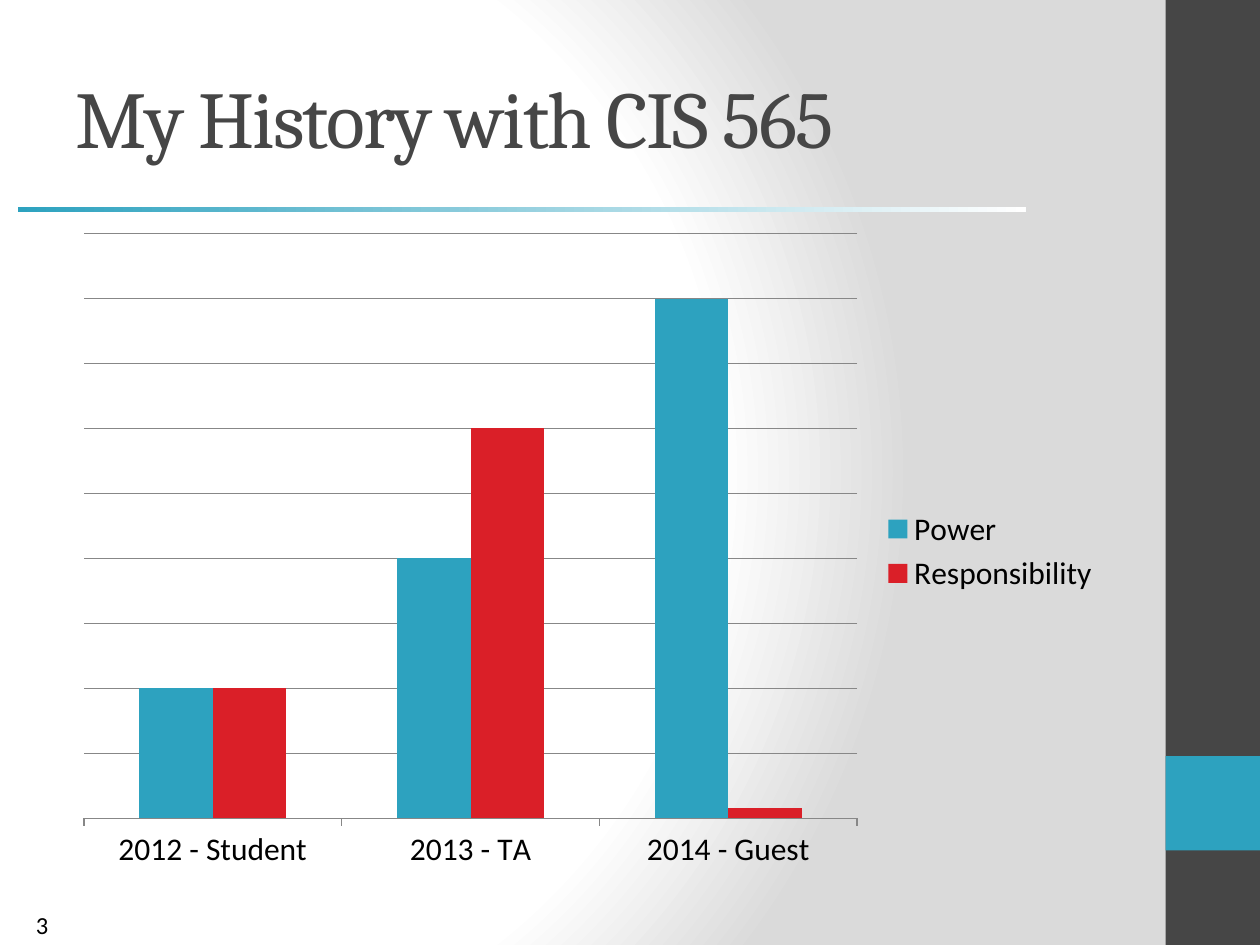
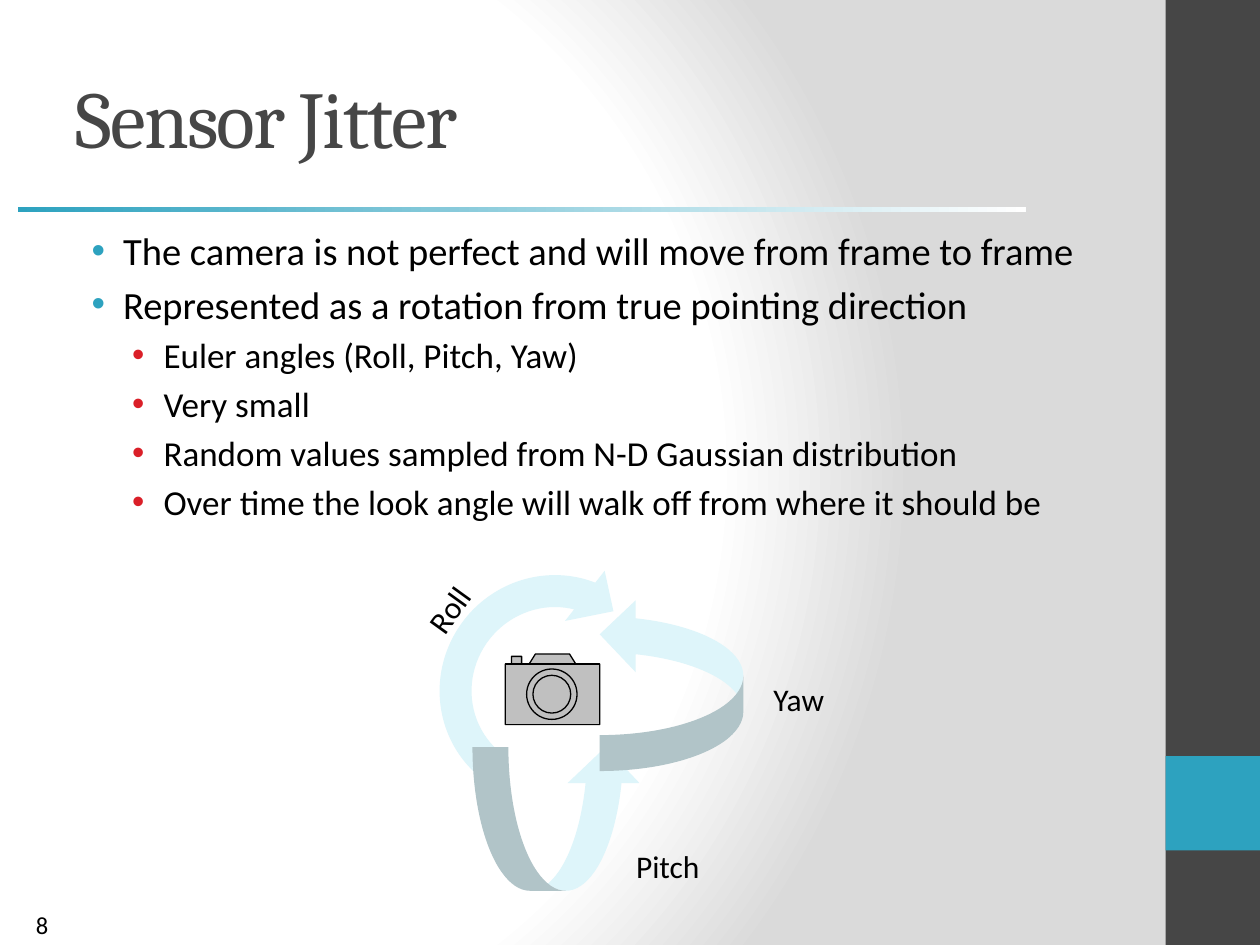
"""Build two lecture slides: a column chart and a sensor jitter diagram."""
import lxml.etree
import pptx
import pptx.chart.data
import pptx.dml.color
import pptx.enum.chart
import pptx.enum.shapes
import pptx.enum.text
import pptx.oxml.ns
import pptx.util

Inches = pptx.util.Inches
Pt = pptx.util.Pt
SHAPE = pptx.enum.shapes.MSO_SHAPE
ALIGN = pptx.enum.text.PP_ALIGN
ANCHOR = pptx.enum.text.MSO_ANCHOR

COLORS = {
    "white": "FFFFFF", "fade": "DADADA", "dark": "464646", "teal": "2DA2BF",
    "red": "DA1F28", "black": "000000", "pale": "DEF5FA", "camera": "C0C0C0",
    "grid": "878787",
}
TITLE_FONT = {"name": "Cambria", "size": Pt(46)}
BODY_FONT = {"name": "Calibri", "size": Pt(18)}
CONTENT_AREA = (0.5, 1.75, 8.33, 5.25)

BACKGROUND_STOPS = [(0, "white"), (75, "white"), (100, "fade")]
BACKGROUND_FOCUS = {"l": 20, "t": 50, "r": 100, "b": 50}
BANDS = [((9.25, 0, 0.75, 7.5), "dark"), ((9.25, 6, 0.75, 0.75), "teal")]

CATEGORIES = ["2012 - Student", "2013 - TA", "2014 - Guest"]
SERIES = [("Power", (25, 50, 100), "teal"), ("Responsibility", (25, 75, 2), "red")]

BULLETS = [
    (0, "The camera is not perfect and will move from frame to frame"),
    (0, "Represented as a rotation from true pointing direction"),
    (1, "Euler angles (Roll, Pitch, Yaw)"),
    (1, "Very small"),
    (1, "Random values sampled from N-D Gaussian distribution"),
    (1, "Over time the look angle will walk off from where it should be"),
]
LEVELS = [
    {"size": 22, "margin": 0.38, "color": "teal"},
    {"size": 20, "margin": 0.7, "color": "red"},
]
CAMERA_OUTLINE = [
    (4.01, 5.75), (4.01, 5.27), (4.06, 5.27), (4.06, 5.21), (4.14, 5.21),
    (4.14, 5.27), (4.2, 5.27), (4.25, 5.19), (4.52, 5.19), (4.57, 5.27),
    (4.76, 5.27), (4.76, 5.75),
]
CAMERA_PARTS = [
    (SHAPE.RECTANGLE, (4.01, 5.27, 0.75, 0.48)),
    (SHAPE.OVAL, (4.18, 5.31, 0.4, 0.4)),
    (SHAPE.OVAL, (4.23, 5.36, 0.3, 0.3)),
]
ROTATION_ARROWS = [
    (SHAPE.CIRCULAR_ARROW, (3.35, 4.45, 2.07, 2.03), 308.3, False),
    (SHAPE.CURVED_LEFT_ARROW, (3.85, 5.83, 1.14, 1.34), 90, True),
    (SHAPE.CURVED_LEFT_ARROW, (4.76, 4.75, 1.14, 1.37), 0, True),
]
ROTATION_LABELS = [
    ("Roll", (3.26, 4.61, 0.64, 0.4), 305.8),
    ("Yaw", (6.04, 5.35, 0.67, 0.4), 0),
    ("Pitch", (4.95, 6.67, 0.76, 0.4), 0),
]


def rgb(color):
    return pptx.dml.color.RGBColor.from_string(COLORS[color])


def box(at):
    return [Inches(v) for v in at]


def set_attrs(obj, values):
    for name, value in values.items():
        setattr(obj, name, value)


def style_font(font, values, color="black"):
    set_attrs(font, values)
    font.color.rgb = rgb(color)


def add_xml(parent, tag, **attrs):
    return lxml.etree.SubElement(parent, pptx.oxml.ns.qn(tag), attrs)


def paint(sp, fill, line=None):
    sp.shadow.inherit = False
    sp.fill.solid()
    sp.fill.fore_color.rgb = rgb(fill)
    if line:
        sp.line.color.rgb = rgb(line)
        sp.line.width = Pt(0.75)
    else:
        sp.line.fill.background()


def add_shape(s, kind, at, fill, line=None):
    sp = s.shapes.add_shape(kind, *box(at))
    paint(sp, fill, line)
    return sp


def add_text(s, at, text, size=18, wrap=False):
    sp = s.shapes.add_textbox(*box(at))
    sp.text_frame.word_wrap = wrap
    p = sp.text_frame.paragraphs[0]
    r = p.add_run()
    r.text = text
    style_font(r.font, {**BODY_FONT, "size": Pt(size)})
    return sp


def set_background(master):
    master.background.fill.gradient()
    grad = master._element.xpath(".//p:bg//a:gradFill")[0]
    grad.clear()
    grad.set("rotWithShape", "1")
    stops = add_xml(grad, "a:gsLst")
    for pos, color in BACKGROUND_STOPS:
        stop = add_xml(stops, "a:gs", pos=str(pos * 1000))
        add_xml(stop, "a:srgbClr", val=COLORS[color])
    focus = {side: str(v * 1000) for side, v in BACKGROUND_FOCUS.items()}
    add_xml(add_xml(grad, "a:path", path="circle"), "a:fillToRect", **focus)


def add_slide(prs, title, number):
    s = prs.slides.add_slide(prs.slide_layouts[5])
    for at, color in BANDS:
        add_shape(s, SHAPE.RECTANGLE, at, color)
    sp = add_text(s, (0, 7.18, 0.67, 0.32), number, 14, True)
    sp.text_frame.vertical_anchor = ANCHOR.MIDDLE
    sp.text_frame.paragraphs[0].alignment = ALIGN.CENTER

    rule = add_shape(s, SHAPE.RECTANGLE, (0.14, 1.64, 8, 0.04), "teal")
    rule.fill.gradient()
    rule.fill.gradient_angle = 0
    for stop, color in zip(rule.fill.gradient_stops, ("teal", "white")):
        stop.color.rgb = rgb(color)

    sp = s.shapes.title
    set_attrs(sp, dict(zip(("left", "top", "width", "height"), box((0.5, 0.3, 8.33, 1.25)))))
    tf = sp.text_frame
    set_attrs(tf, {"vertical_anchor": ANCHOR.MIDDLE, "word_wrap": True,
                   "auto_size": pptx.enum.text.MSO_AUTO_SIZE.NONE})
    p = tf.paragraphs[0]
    p.alignment = ALIGN.LEFT
    r = p.add_run()
    r.text = title
    style_font(r.font, TITLE_FONT, "dark")
    r.font._element.set("spc", "-100")
    return s


def add_history_chart(s):
    data = pptx.chart.data.CategoryChartData()
    data.categories = CATEGORIES
    for name, values, _ in SERIES:
        data.add_series(name, values)
    kind = pptx.enum.chart.XL_CHART_TYPE.COLUMN_CLUSTERED
    chart = s.shapes.add_chart(kind, *box(CONTENT_AREA), data).chart
    style_font(chart.font, BODY_FONT)
    set_attrs(chart, {"has_title": False, "has_legend": True})
    set_attrs(chart.legend, {"position": pptx.enum.chart.XL_LEGEND_POSITION.RIGHT,
                             "include_in_layout": False})
    set_attrs(chart.plots[0], {"gap_width": 150, "overlap": 0, "vary_by_categories": False})
    for series, (_, _, color) in zip(chart.plots[0].series, SERIES):
        series.format.fill.solid()
        series.format.fill.fore_color.rgb = rgb(color)
    set_attrs(chart.value_axis, {"visible": False, "has_major_gridlines": True,
                                 "minimum_scale": 0, "maximum_scale": 112.5,
                                 "major_unit": 12.5})
    chart.category_axis.major_tick_mark = pptx.enum.chart.XL_TICK_MARK.OUTSIDE
    for part in (chart.category_axis, chart.value_axis.major_gridlines):
        part.format.line.color.rgb = rgb("grid")
        part.format.line.width = Pt(0.75)


def add_bullets(s):
    tf = s.shapes.add_textbox(*box(CONTENT_AREA)).text_frame
    tf.word_wrap = True
    for i, (level, text) in enumerate(BULLETS):
        look = LEVELS[level]
        p = tf.add_paragraph() if i else tf.paragraphs[0]
        p.level = level
        ppr = p._p.get_or_add_pPr()
        ppr.set("marL", str(Inches(look["margin"])))
        ppr.set("indent", str(Inches(-0.25)))
        add_xml(add_xml(ppr, "a:buClr"), "a:srgbClr", val=COLORS[look["color"]])
        add_xml(ppr, "a:buFont", typeface="Arial")
        add_xml(ppr, "a:buChar", char="•")
        if i:
            p.space_before = Pt(look["size"] * 0.2)
        r = p.add_run()
        r.text = text
        style_font(r.font, {**BODY_FONT, "size": Pt(look["size"])})


def add_camera(s):
    points = [box(point) for point in CAMERA_OUTLINE]
    builder = s.shapes.build_freeform(*points[0], scale=1.0)
    builder.add_line_segments(points[1:], close=True)
    paint(builder.convert_to_shape(), "camera", "black")
    for kind, at in CAMERA_PARTS:
        add_shape(s, kind, at, "camera", "black")


def add_rotations(s):
    for kind, at, angle, flipped in ROTATION_ARROWS:
        sp = add_shape(s, kind, at, "pale")
        sp.rotation = angle
        if flipped:
            sp._element.spPr.xfrm.set("flipV", "1")
    for text, at, angle in ROTATION_LABELS:
        sp = add_text(s, at, text)
        sp.rotation = angle
        sp.text_frame.auto_size = pptx.enum.text.MSO_AUTO_SIZE.SHAPE_TO_FIT_TEXT


def main():
    prs = pptx.Presentation()
    prs.slide_width, prs.slide_height = box((10, 7.5))
    set_background(prs.slide_master)
    add_history_chart(add_slide(prs, "My History with CIS 565", "3"))
    s = add_slide(prs, "Sensor Jitter", "8")
    add_bullets(s)
    add_camera(s)
    add_rotations(s)
    prs.save("out.pptx")


if __name__ == "__main__":
    main()
